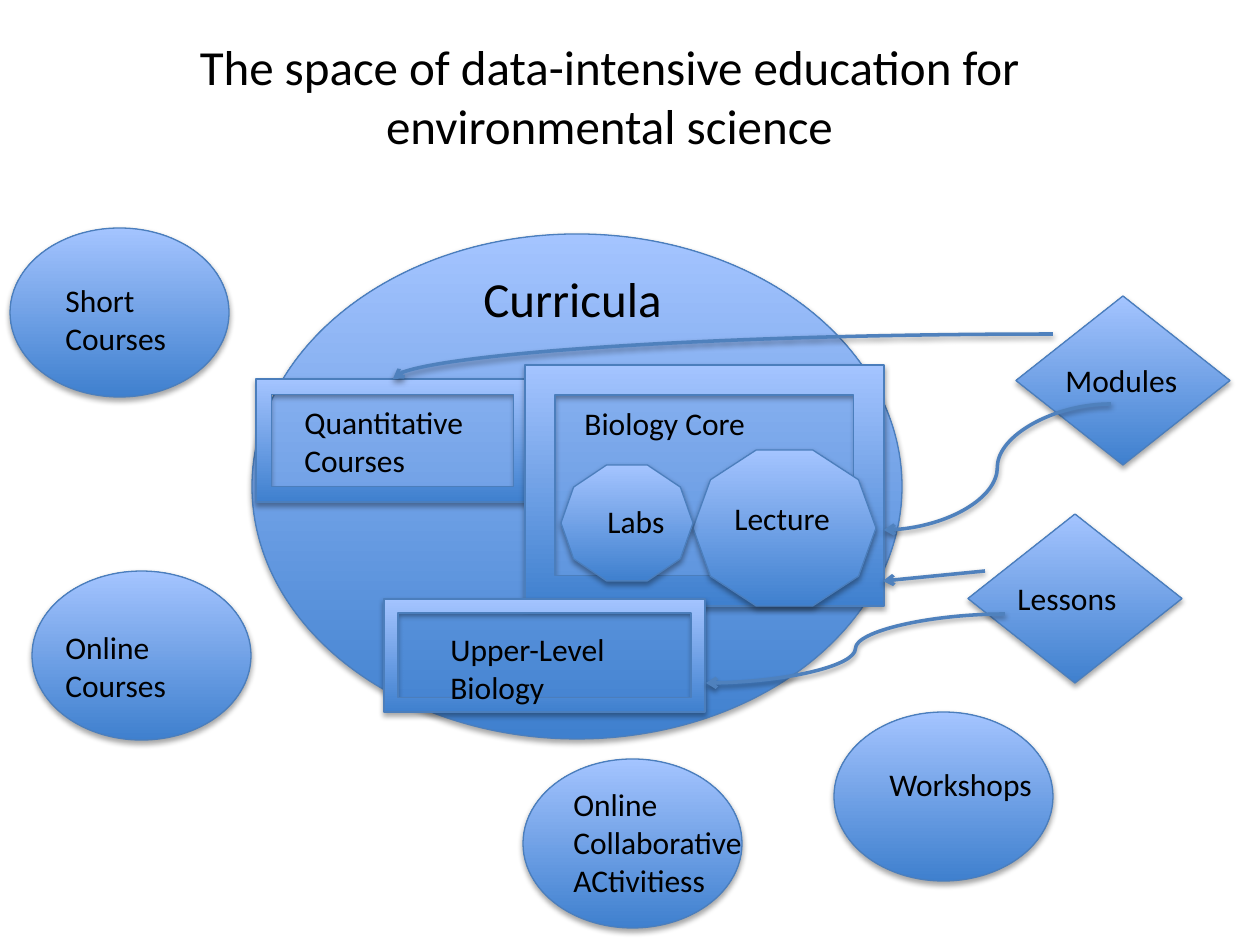
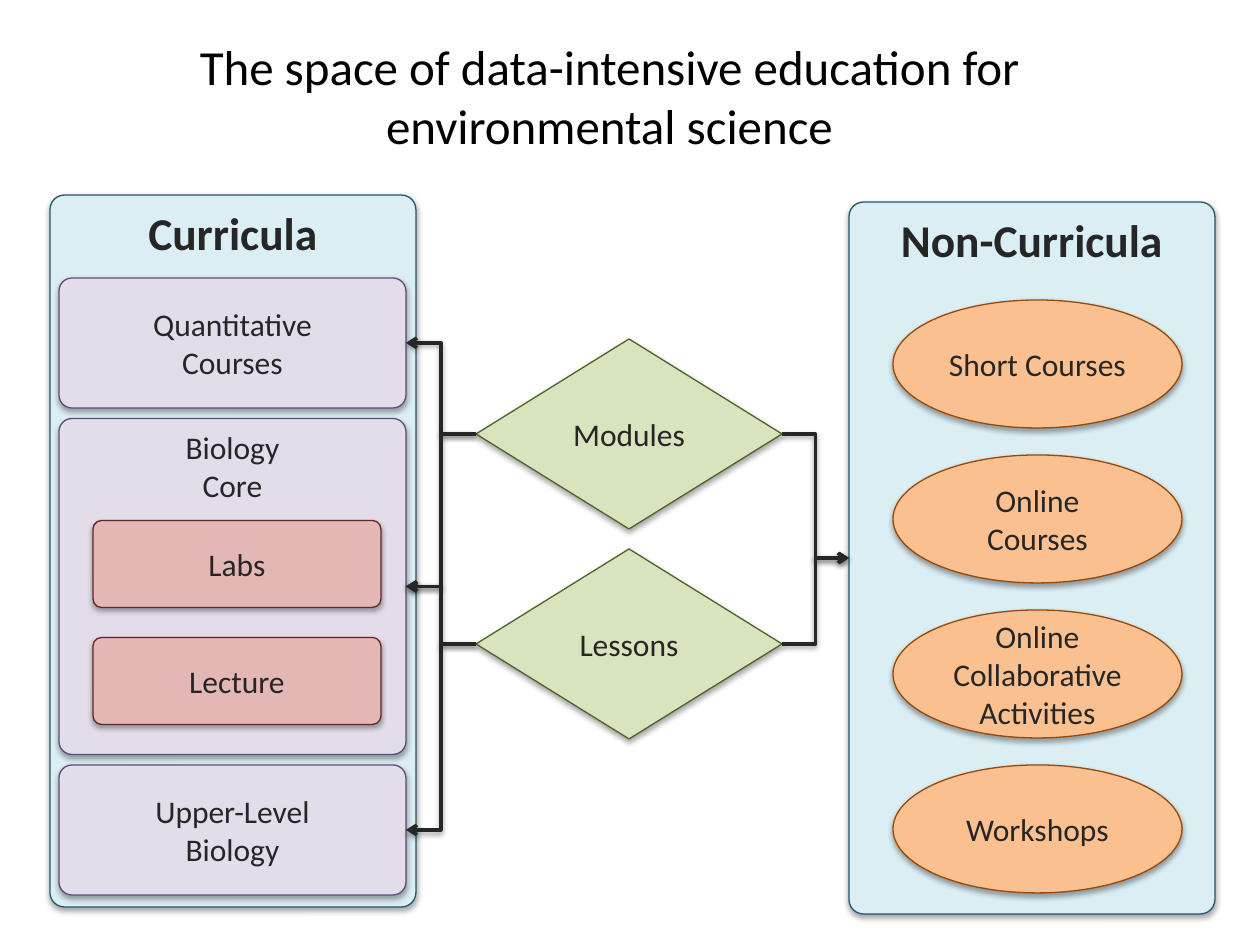
from collections import namedtuple
from lxml.etree import SubElement
from pptx import Presentation
from pptx.dml.color import RGBColor
from pptx.enum.shapes import MSO_CONNECTOR, MSO_SHAPE
from pptx.enum.text import MSO_ANCHOR, PP_ALIGN
from pptx.oxml.ns import qn
from pptx.util import Emu, Pt

Box = namedtuple("Box", "x y w h")
SCALE = 914400 / 126
FONT = "Calibri"
BLACK, INK = "000000", "262626"
DEEP_BLUE, LIGHT_BLUE, EDGE_BLUE, ARROW_BLUE = "3F80CE", "A4C4FF", "4B7EBC", "4F81BD"
PANEL = ("DBEEF4", "215968")
CARD = ("E6E0EC", "604A7B")
PART = ("E6B9B8", "632523")
OFFERING = ("FAC090", "984807")
UNIT = ("D7E4BD", "4F6228")
TITLE = "The space of data-intensive education for environmental science"


def px(length):
    return Emu(round(length * SCALE))


def rgb(value):
    return RGBColor.from_string(value)


def inside(box, dx, dy, w, h):
    return Box(box.x + dx, box.y + dy, w, h)


def left_mid(box):
    return box.x, box.y + box.h / 2


def right_mid(box):
    return box.x + box.w, box.y + box.h / 2


def write(holder, text, size=18, color=BLACK, bold=False, align=PP_ALIGN.LEFT,
          anchor=MSO_ANCHOR.TOP):
    frame = holder.text_frame
    frame.word_wrap = True
    frame.vertical_anchor = anchor
    paragraph = frame.paragraphs[0]
    paragraph.alignment = align
    for number, line in enumerate(text.split("\n")):
        if number:
            paragraph.add_line_break()
        run = paragraph.add_run()
        run.text = line
        run.font.name = FONT
        run.font.size = Pt(size)
        run.font.bold = bold
        run.font.color.rgb = rgb(color)


def add_shadow(effects, distance, opacity):
    shadow = SubElement(effects, qn("a:outerShdw"), blurRad="40000", dist=str(distance),
                        dir="5400000", rotWithShape="0")
    black = SubElement(shadow, qn("a:srgbClr"), val=BLACK)
    SubElement(black, qn("a:alpha"), val=str(opacity * 1000))


def add_outline(slide, kind, box, edge):
    shape = slide.shapes.add_shape(kind, *map(px, box))
    shape.line.color.rgb = rgb(edge)
    shape.line.width = Pt(0.75)
    shape.shadow.inherit = False
    add_shadow(shape._element.spPr.find(qn("a:effectLst")), 23000, 35)
    return shape


def add_glossy(slide, kind, box):
    shape = add_outline(slide, kind, box, EDGE_BLUE)
    shape.fill.gradient()
    shape.fill.gradient_angle = 90
    for stop, color in zip(shape.fill.gradient_stops, (DEEP_BLUE, LIGHT_BLUE)):
        stop.color.rgb = rgb(color)
    return shape


def add_flat(slide, kind, box, colors, text, radius=None, opacity=100, size=18, bold=False,
             anchor=MSO_ANCHOR.MIDDLE):
    fill, edge = colors
    shape = add_outline(slide, kind, box, edge)
    shape.fill.solid()
    shape.fill.fore_color.rgb = rgb(fill)
    if opacity < 100:
        color = shape._element.spPr.find(qn("a:solidFill"))[0]
        SubElement(color, qn("a:alpha"), val=str(opacity * 1000))
    if radius:
        shape.adjustments[0] = radius / min(box.w, box.h)
    write(shape, text, size, INK, bold, PP_ALIGN.CENTER, anchor)


def add_arrow(slide, kind, start, end, color, preset=None):
    arrow = slide.shapes.add_connector(kind, *map(px, (*start, *end)))
    arrow.line.color.rgb = rgb(color)
    arrow.line.width = Pt(2)
    properties = arrow._element.spPr
    SubElement(properties.find(qn("a:ln")), qn("a:tailEnd"), type="arrow")
    add_shadow(SubElement(properties, qn("a:effectLst")), 20000, 38)
    if preset:
        properties.find(qn("a:prstGeom")).set("prst", preset)


def add_label(slide, box, text, size=18):
    write(slide.shapes.add_textbox(*map(px, box)), text, size)


def add_topic(slide, kind, box, text, label, size=18):
    add_glossy(slide, kind, box)
    add_label(slide, inside(box, *label), text, size)


def add_titled_slide(deck):
    slide = deck.slides.add_slide(deck.slide_layouts[5])
    title = slide.shapes.title
    title.left, title.top, title.width, title.height = map(px, (74, -6, 1071, 203))
    write(title, TITLE, 28, align=PP_ALIGN.CENTER, anchor=MSO_ANCHOR.MIDDLE)
    return slide


def draw_curricula_space(slide, box):
    topics = [
        (MSO_SHAPE.FRAME, (4, 145, 273, 123), "Quantitative Courses", (36, 18, 238, 90)),
        (MSO_SHAPE.FRAME, (273, 131, 359, 241), "Biology Core", (47, 33, 311, 50)),
        (MSO_SHAPE.DECAGON, (441, 216, 183, 156), "Lecture", (29, 43, 152, 53)),
        (MSO_SHAPE.DECAGON, (309, 231, 132, 116), "Labs", (34, 31, 97, 37)),
        (MSO_SHAPE.FRAME, (132, 365, 321, 113), "Upper-Level Biology", (54, 25, 242, 90)),
    ]
    add_topic(slide, MSO_SHAPE.OVAL, box, "Curricula", (219, 28, 222, 72), 28)
    for kind, place, text, label in topics:
        add_topic(slide, kind, inside(box, *place), text, label)


def draw_outer_topics(slide, box):
    offerings = [
        (10, 228, "Short Courses", (43, 47, 134, 90)),
        (834, 712, "Workshops", (43, 47, 176, 50)),
        (523, 759, "Online Collaborative ACtivitiess", (38, 20, 228, 127)),
        (32, 571, "Online Courses", (21, 51, 176, 90)),
    ]
    for x, y, text, label in offerings:
        add_topic(slide, MSO_SHAPE.OVAL, inside(box, x, y, 219, 169), text, label)
    for x, y, text in [(1016, 296, "Modules"), (968, 514, "Lessons")]:
        add_topic(slide, MSO_SHAPE.DIAMOND, inside(box, x, y, 214, 169), text,
                  (37, 59, 147, 50))


def draw_space_arrows(slide):
    curve, straight = MSO_CONNECTOR.CURVE, MSO_CONNECTOR.STRAIGHT
    add_arrow(slide, curve, (1111, 404), (884, 530), ARROW_BLUE)
    add_arrow(slide, curve, (1005, 614), (706, 683), ARROW_BLUE)
    add_arrow(slide, straight, (985, 571), (883, 581), ARROW_BLUE)
    add_arrow(slide, curve, (1053, 334), (393, 379), ARROW_BLUE, "curvedConnector2")


def draw_panel(slide, box, heading):
    add_flat(slide, MSO_SHAPE.ROUNDED_RECTANGLE, box, PANEL, heading, radius=14.6, size=26,
             bold=True, anchor=MSO_ANCHOR.TOP)


def draw_non_curricula(slide, box):
    draw_panel(slide, box, "Non-Curricula")
    offerings = ["Short Courses", "Online Courses", "Online Collaborative Activities",
                 "Workshops"]
    for row, text in enumerate(offerings):
        add_flat(slide, MSO_SHAPE.OVAL, inside(box, 44, 98 + 155 * row, 289, 128), OFFERING,
                 text)


def draw_curricula(slide, box):
    draw_panel(slide, box, "Curricula")
    levels = [("Quantitative\nCourses", 130, MSO_ANCHOR.MIDDLE),
              ("Biology\nCore", 336, MSO_ANCHOR.TOP),
              ("Upper-Level\nBiology", 130, MSO_ANCHOR.MIDDLE)]
    cards = []
    top = 83
    for text, height, anchor in levels:
        card = inside(box, 9, top, 347, height)
        add_flat(slide, MSO_SHAPE.ROUNDED_RECTANGLE, card, CARD, text, radius=13, opacity=96,
                 anchor=anchor)
        cards.append(card)
        top += height + 10.5
    for row, text in enumerate(["Labs", "Lecture"]):
        add_flat(slide, MSO_SHAPE.ROUNDED_RECTANGLE,
                 inside(cards[1], 34, 102 + 117 * row, 288, 87), PART, text, radius=8.6,
                 opacity=96)
    return cards


def draw_units(slide, box):
    units = []
    for row, text in enumerate(["Modules", "Lessons"]):
        unit = inside(box, 0, 210 * row, box.w, 190)
        add_flat(slide, MSO_SHAPE.DIAMOND, unit, UNIT, text)
        units.append(unit)
    return units


def draw_unit_arrows(slide, units, cards, panel):
    for row, unit in enumerate(units):
        for card in cards[row:row + 2]:
            add_arrow(slide, MSO_CONNECTOR.ELBOW, left_mid(unit), right_mid(card), INK)
        add_arrow(slide, MSO_CONNECTOR.ELBOW, right_mid(unit), left_mid(panel), INK)


deck = Presentation()
deck.slide_width, deck.slide_height = px(1260), px(945)

space = add_titled_slide(deck)
draw_curricula_space(space, Box(252, 234, 650, 505))
draw_outer_topics(space, Box(0, 0, 1260, 945))
draw_space_arrows(space)

structure = add_titled_slide(deck)
non_curricula = Box(849, 202, 366, 712)
draw_non_curricula(structure, non_curricula)
curricula_cards = draw_curricula(structure, Box(50, 195, 366, 712))
teaching_units = draw_units(structure, Box(476, 339, 306, 400))
draw_unit_arrows(structure, teaching_units, curricula_cards, non_curricula)

deck.save("out.pptx")
